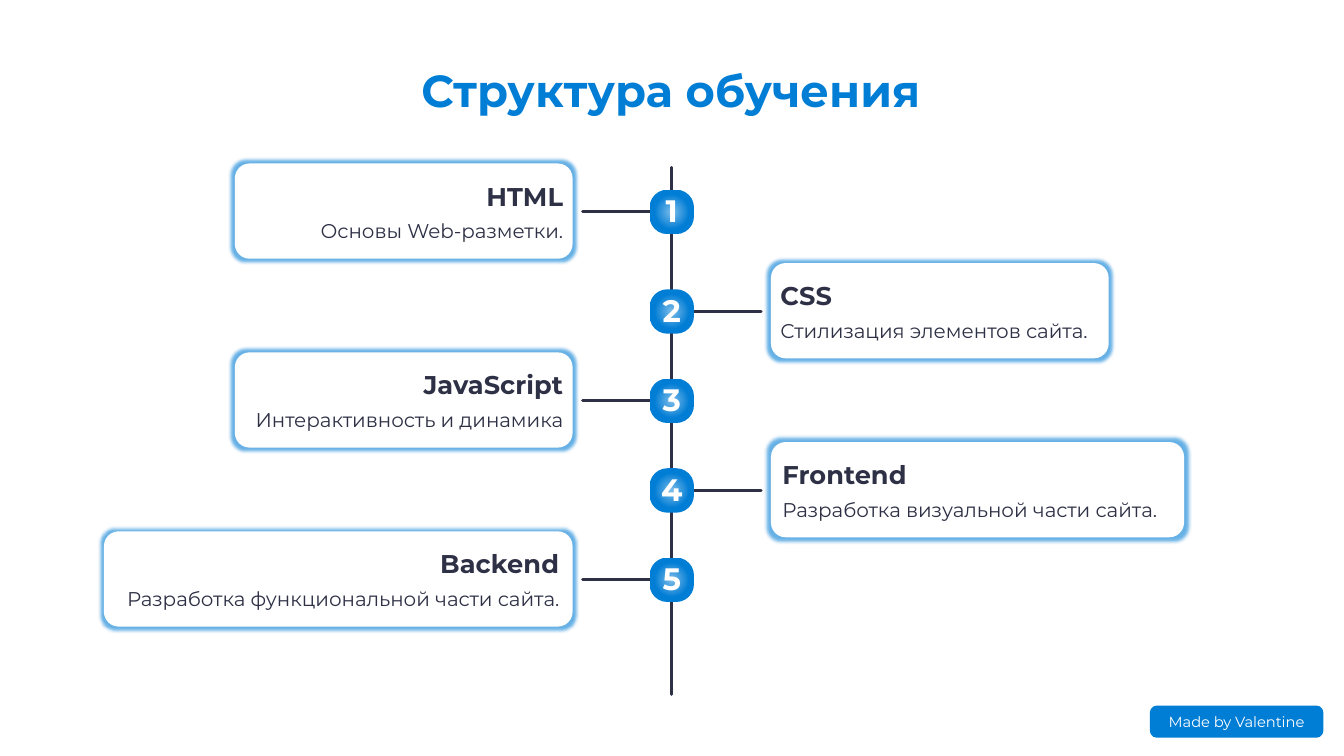
from dataclasses import dataclass

from pptx import Presentation
from pptx.dml.color import RGBColor
from pptx.enum.shapes import MSO_CONNECTOR, MSO_SHAPE
from pptx.enum.text import MSO_ANCHOR, PP_ALIGN
from pptx.oxml import parse_xml
from pptx.oxml.ns import nsdecls, qn
from pptx.util import Cm, Pt

ROUNDED = MSO_SHAPE.ROUNDED_RECTANGLE
STRAIGHT = MSO_CONNECTOR.STRAIGHT
MIDDLE = MSO_ANCHOR.MIDDLE
LEFT, CENTER, RIGHT = PP_ALIGN.LEFT, PP_ALIGN.CENTER, PP_ALIGN.RIGHT

BLUE, LIGHT_BLUE, INK, WHITE = "007DD5", "7EBEEA", "2E3146", "FFFFFF"

# Timeline geometry in centimetres
SLIDE_WIDTH, SLIDE_HEIGHT = 33.87, 19.05
SPINE_X, SPINE_TOP, SPINE_BOTTOM = 16.93, 4.22, 17.5
BADGE_SIZE = 1.12
BRANCH_INNER, BRANCH_OUTER = 0.5, 2.25
CARD_GAP, CARD_HEIGHT, CARD_RISE = 2.5, 2.4, 1.22
HEADING_OFFSET, DETAIL_OFFSET, LINE_HEIGHT = 0.38, 1.2, 0.82


@dataclass(frozen=True)
class TextStyle:
    size: float
    color: str
    bold: bool
    spacing: float | None = None


@dataclass(frozen=True)
class Step:
    heading: str
    detail: str
    center_y: float
    card_width: float
    margin: float = 0.24


TITLE = TextStyle(32, BLUE, True, 42.9)
HEADING = TextStyle(18.3, INK, True, 23.3)
DETAIL = TextStyle(14.2, INK, False, 22.5)
NUMBER = TextStyle(22.1, WHITE, True, 22.1)
CREDIT = TextStyle(10.5, WHITE, False)

STEPS = [
    Step("HTML", "Основы Web-разметки.", 5.34, 8.51),
    Step("CSS", "Стилизация элементов сайта.", 7.85, 8.51),
    Step("JavaScript", "Интерактивность и динамика", 10.1, 8.51),
    Step("Frontend", "Разработка визуальной части сайта.", 12.36, 10.41, 0.29),
    Step("Backend", "Разработка функциональной части сайта.", 14.61, 11.81, 0.34),
]


def color(value: str) -> RGBColor:
    return RGBColor.from_string(value)


def write(shape, text: str, style: TextStyle, alignment, top_inset: float = 0) -> None:
    frame = shape.text_frame
    paragraph = frame.paragraphs[0]
    paragraph.text = text
    font = paragraph.runs[0].font
    font.color.rgb = color(style.color)
    formats = [
        (frame, {"word_wrap": True, "margin_left": 0, "margin_right": 0,
                 "margin_top": Cm(top_inset), "margin_bottom": 0}),
        (paragraph, {"alignment": alignment,
                     "line_spacing": Pt(style.spacing) if style.spacing else None}),
        (font, {"name": "Montserrat", "size": Pt(style.size), "bold": style.bold}),
    ]
    for target, values in formats:
        for name, value in values.items():
            setattr(target, name, value)


def add_text(shapes, x: float, y: float, width: float, height: float,
             text: str, style: TextStyle, alignment) -> None:
    box = shapes.add_textbox(Cm(x), Cm(y), Cm(width), Cm(height))
    write(box, text, style, alignment)


def add_panel(shapes, x: float, y: float, width: float, height: float,
              corner: float, fill: str):
    panel = shapes.add_shape(ROUNDED, Cm(x), Cm(y), Cm(width), Cm(height))
    panel.adjustments[0] = corner
    panel.shadow.inherit = False
    panel.fill.solid()
    panel.fill.fore_color.rgb = color(fill)
    panel.line.fill.background()
    panel.text_frame.vertical_anchor = MIDDLE
    return panel


def add_line(shapes, x1: float, y1: float, x2: float, y2: float) -> None:
    line = shapes.add_connector(STRAIGHT, Cm(x1), Cm(y1), Cm(x2), Cm(y2))
    line.line.width = Pt(2.1)
    line.line.color.rgb = color(INK)
    properties = line._element.spPr
    properties.find(qn("a:ln")).set("cap", "rnd")
    properties.append(parse_xml(f"<a:effectLst {nsdecls('a')}/>"))


def add_glow(shape) -> None:
    effects = shape._element.spPr.find(qn("a:effectLst"))
    effects.append(parse_xml(
        f'<a:glow {nsdecls("a")} rad="63500"><a:srgbClr val="{BLUE}">'
        '<a:alpha val="60000"/></a:srgbClr></a:glow>'))


def set_radial_fill(shape) -> None:
    properties = shape._element.spPr
    solid = properties.find(qn("a:solidFill"))
    properties.replace(solid, parse_xml(
        f'<a:gradFill {nsdecls("a")} rotWithShape="1"><a:gsLst>'
        f'<a:gs pos="0"><a:srgbClr val="{LIGHT_BLUE}"/></a:gs>'
        f'<a:gs pos="57000"><a:srgbClr val="{BLUE}"/></a:gs></a:gsLst>'
        '<a:path path="circle"><a:fillToRect l="50000" t="50000" r="50000" b="50000"/>'
        '</a:path></a:gradFill>'))


def add_card(slide, step: Step, on_left: bool) -> None:
    x = SPINE_X - CARD_GAP - step.card_width if on_left else SPINE_X + CARD_GAP
    y = step.center_y - CARD_RISE
    shapes = slide.shapes.add_group_shape().shapes
    add_glow(add_panel(shapes, x, y, step.card_width, CARD_HEIGHT, 0.154, WHITE))
    for text, style, offset in [(step.heading, HEADING, HEADING_OFFSET),
                                (step.detail, DETAIL, DETAIL_OFFSET)]:
        add_text(shapes, x + step.margin, y + offset, step.card_width - 2 * step.margin,
                 LINE_HEIGHT, text, style, RIGHT if on_left else LEFT)


def add_step(slide, number: int, step: Step) -> None:
    on_left = number % 2 == 1
    side = -1 if on_left else 1
    add_line(slide.shapes, SPINE_X + side * BRANCH_INNER, step.center_y,
             SPINE_X + side * BRANCH_OUTER, step.center_y)
    badge = add_panel(slide.shapes, SPINE_X - BADGE_SIZE / 2, step.center_y - BADGE_SIZE / 2,
                      BADGE_SIZE, BADGE_SIZE, 0.4, BLUE)
    set_radial_fill(badge)
    write(badge, str(number), NUMBER, CENTER, top_inset=0.08)
    add_card(slide, step, on_left)


def main() -> None:
    presentation = Presentation()
    presentation.slide_width = Cm(SLIDE_WIDTH)
    presentation.slide_height = Cm(SLIDE_HEIGHT)
    slide = presentation.slides.add_slide(presentation.slide_layouts[6])

    # Credit label
    credit = add_panel(slide.shapes, 28.98, 17.78, 4.37, 0.81, 0.212, BLUE)
    write(credit, "Made by Valentine", CREDIT, CENTER)

    # Title
    add_text(slide.shapes, 9.91, 1.42, 14, 1.65, "Структура обучения", TITLE, CENTER)

    # Timeline
    add_line(slide.shapes, SPINE_X, SPINE_TOP, SPINE_X, SPINE_BOTTOM)
    for number, step in enumerate(STEPS, start=1):
        add_step(slide, number, step)

    presentation.save("out.pptx")


if __name__ == "__main__":
    main()
